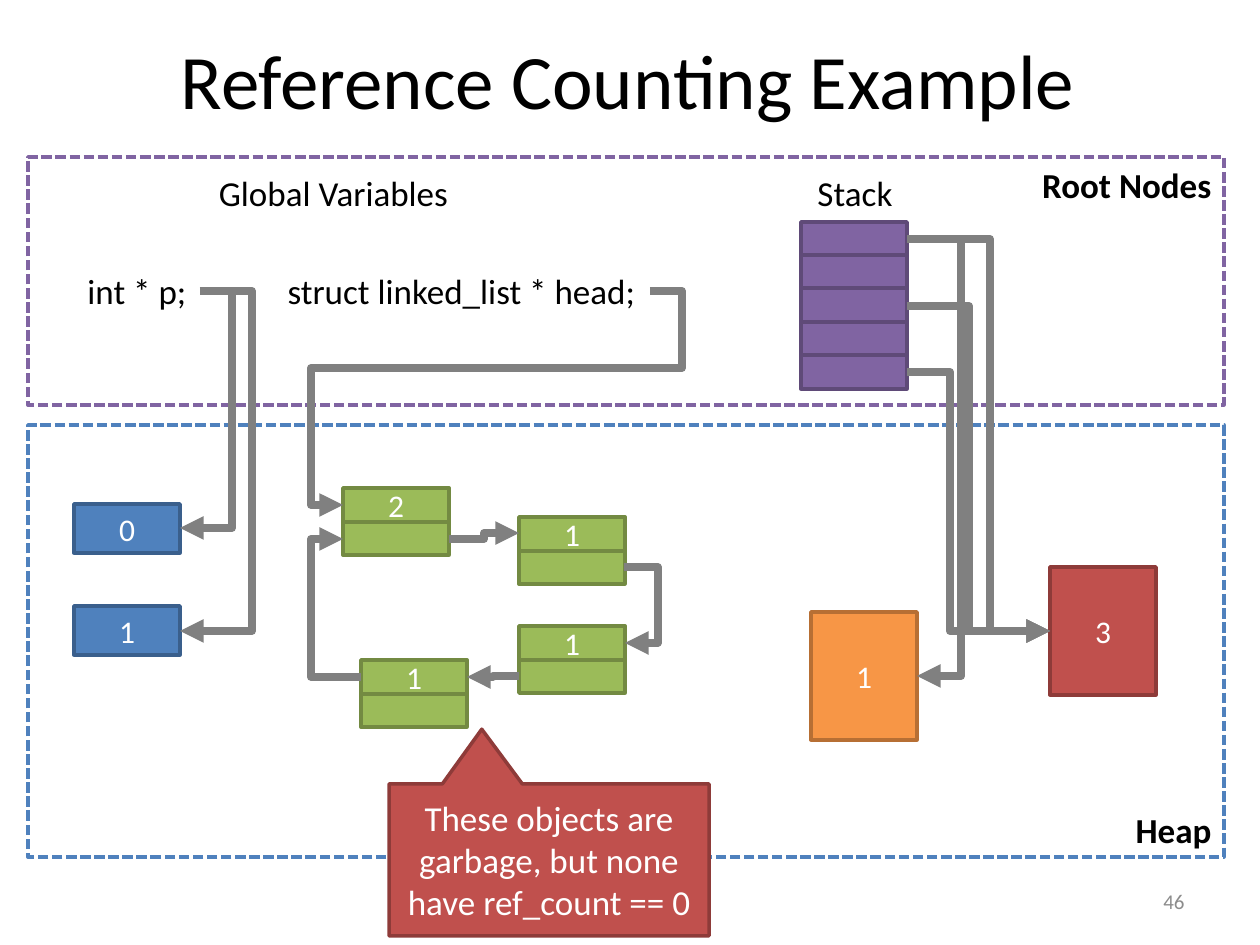
from lxml import etree
from pptx import Presentation
from pptx.dml.color import RGBColor
from pptx.enum.dml import MSO_LINE
from pptx.enum.shapes import MSO_CONNECTOR, MSO_SHAPE
from pptx.enum.text import MSO_ANCHOR, MSO_AUTO_SIZE, PP_ALIGN
from pptx.oxml.ns import qn
from pptx.util import Emu, Pt

RECT, CALLOUT = MSO_SHAPE.RECTANGLE, MSO_SHAPE.RECTANGULAR_CALLOUT
ELBOW, DASH = MSO_CONNECTOR.ELBOW, MSO_LINE.SQUARE_DOT
TOP, MIDDLE, BOTTOM = MSO_ANCHOR.TOP, MSO_ANCHOR.MIDDLE, MSO_ANCHOR.BOTTOM
CENTER, RIGHT = PP_ALIGN.CENTER, PP_ALIGN.RIGHT
GROW = MSO_AUTO_SIZE.SHAPE_TO_FIT_TEXT

SCALE = 914400 / 126
WIDE, ROW = 106, 34
BLACK, WHITE, GRAY = "000000", "FFFFFF", "808080"
BLUE = ("4F81BD", "3A5F8C")
GREEN = ("9BBB59", "738A42")
PURPLE = ("8064A2", "5F4A78")
RED = ("C0504D", "8E3B39")
ORANGE = ("F79646", "B76F34")


def px(n):
    return Emu(round(n * SCALE))


def color(code):
    return RGBColor.from_string(code)


def write(shape, text, size, ink, align=CENTER, bold=False, **frame):
    tf = shape.text_frame
    for name, value in {"word_wrap": True, "vertical_anchor": MIDDLE, **frame}.items():
        setattr(tf, name, value)
    para = tf.paragraphs[0]
    para.alignment = align
    run = para.add_run()
    run.text = text
    font = {"name": "Calibri", "size": Pt(size), "bold": bold}
    for name, value in font.items():
        setattr(run.font, name, value)
    run.font.color.rgb = color(ink)


def label(slide, at, text, size=20, ink=BLACK, **style):
    write(slide.shapes.add_textbox(*map(px, at)), text, size, ink, **style)


def block(slide, at, paint, text="", size=18, kind=RECT):
    fill, edge = paint
    shape = slide.shapes.add_shape(kind, *map(px, at))
    shape.shadow.inherit = False
    shape.fill.solid()
    shape.fill.fore_color.rgb = color(fill)
    shape.line.color.rgb = color(edge)
    shape.line.width = Pt(2)
    if text:
        write(shape, text, size, WHITE)
    return shape


def region(slide, at, edge, text, anchor):
    shape = block(slide, at, (WHITE, edge))
    shape.fill.background()
    shape.line.dash_style = DASH
    write(shape, text, 20, BLACK, RIGHT, True, vertical_anchor=anchor)


def node(slide, x, y, count):
    block(slide, (x, y + 33, WIDE, ROW), GREEN)
    block(slide, (x, y, WIDE, ROW), GREEN, count)


def link(slide, start, end, *bends):
    wire = slide.shapes.add_connector(ELBOW, *map(px, start + end))
    wire.line.color.rgb = color(GRAY)
    wire.line.width = Pt(4.5)
    props = wire._element.spPr
    etree.SubElement(props.find(qn("a:ln")), qn("a:tailEnd"), type="triangle")
    etree.SubElement(props, qn("a:effectLst"))
    geom = props.find(qn("a:prstGeom"))
    geom.set("prst", f"bentConnector{len(bends) + 2}")
    guides = geom.find(qn("a:avLst"))
    if guides is None:
        guides = etree.SubElement(geom, qn("a:avLst"))
    for i, bend in enumerate(bends):
        axis = i % 2
        ratio = (bend - start[axis]) / (end[axis] - start[axis])
        etree.SubElement(guides, qn("a:gd"), name=f"adj{i + 1}",
                         fmla=f"val {round(ratio * 100000)}")


def main():
    prs = Presentation()
    prs.slide_width, prs.slide_height = px(1260), px(945)
    slide = prs.slides.add_slide(prs.slide_layouts[6])

    label(slide, (6, 0, 1244, 157), "Reference Counting Example", 44)
    label(slide, (903, 876, 294, 50), "46", 12, "8C8C8C", align=RIGHT)
    region(slide, (28, 157, 1196, 248), PURPLE[0], "Root Nodes", TOP)
    region(slide, (28, 425, 1196, 432), BLUE[0], "Heap", BOTTOM)

    for x, y, w, text in [
        (804, 165, 102, "Stack"),
        (205, 165, 257, "Global Variables"),
        (74, 263, 126, "int * p;"),
        (273, 263, 377, "struct linked_list * head;"),
    ]:
        label(slide, (x, y, w, 55), text, word_wrap=False,
              vertical_anchor=TOP, auto_size=GROW)

    for i in range(5):
        block(slide, (801, 222 + i * 100 // 3, WIDE, ROW), PURPLE)
    for x, y, h, paint, count in [
        (74, 504, 49, BLUE, "0"),
        (74, 606, 49, BLUE, "1"),
        (1050, 567, 128, RED, "3"),
        (811, 612, 128, ORANGE, "1"),
    ]:
        block(slide, (x, y, WIDE, h), paint, count)
    for x, y, count in [(343, 488, "2"), (519, 517, "1"),
                        (519, 626, "1"), (361, 660, "1")]:
        node(slide, x, y, count)

    for start, end, *bends in [
        ((200, 291), (180, 528), 232),
        ((200, 291), (180, 631), 252),
        ((650, 291), (343, 505), 682, 368, 311),
        ((449, 539), (519, 533), 484),
        ((624, 567), (625, 643), 658),
        ((519, 676), (467, 677), 493),
        ((361, 677), (343, 539), 311),
        ((907, 239), (1050, 631), 990),
        ((907, 306), (1050, 631), 969),
        ((907, 372), (1050, 631), 950),
        ((907, 239), (917, 676), 961),
    ]:
        link(slide, start, end, *bends)

    note = block(slide, (389, 784, 320, 152), RED,
                 "These objects are garbage, but none have ref_count == 0", 20, CALLOUT)
    note.adjustments[0], note.adjustments[1] = -0.21, -0.86
    prs.save("out.pptx")


if __name__ == "__main__":
    main()
